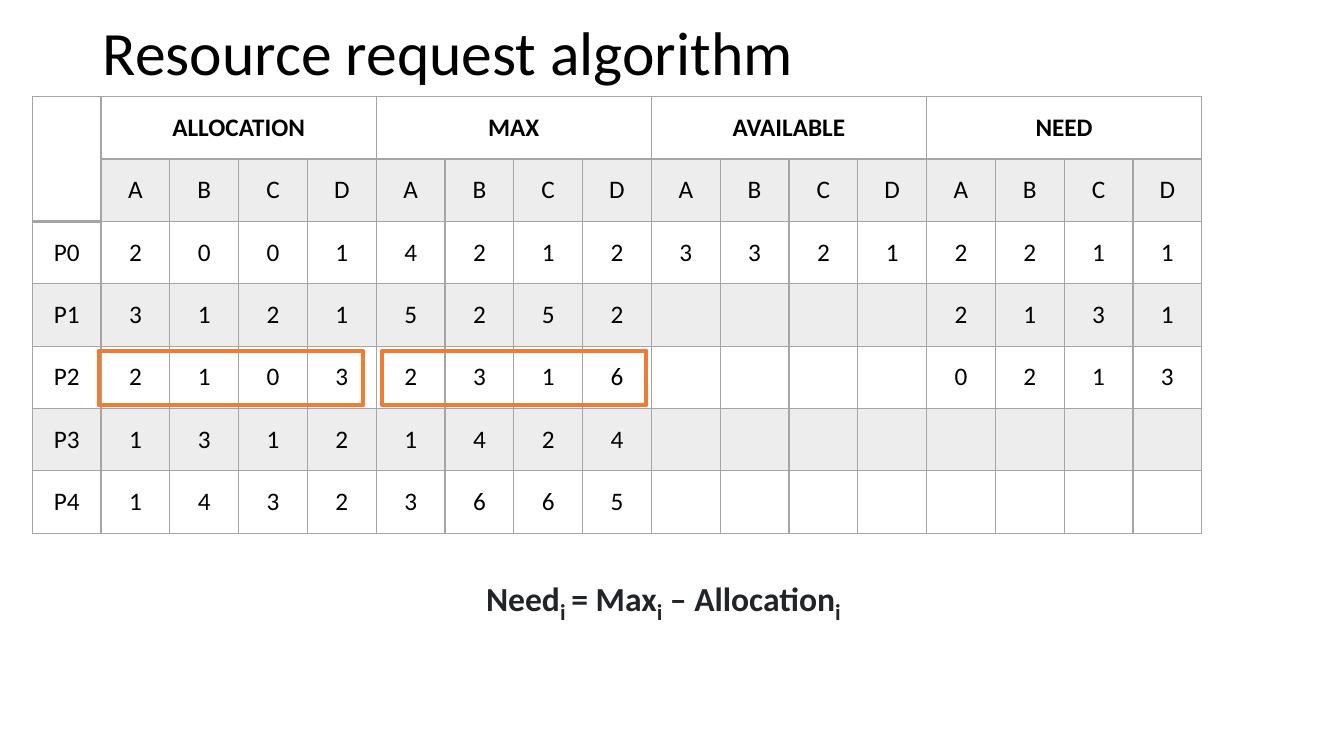
"""Builds the resource request algorithm slide with its allocation table."""
from lxml import etree
from pptx import Presentation
from pptx.dml.color import RGBColor
from pptx.enum.shapes import MSO_SHAPE
from pptx.enum.text import MSO_ANCHOR, PP_ALIGN
from pptx.oxml.ns import qn
from pptx.util import Inches, Pt

RECTANGLE = MSO_SHAPE.RECTANGLE
MIDDLE = MSO_ANCHOR.MIDDLE
TOP = MSO_ANCHOR.TOP
CENTER = PP_ALIGN.CENTER
LEFT = PP_ALIGN.LEFT

COLORS = {
    "text": "000000",
    "formula": "212529",
    "grid": "A5A5A5",
    "band": "EDEDED",
    "highlight": "ED7D31",
}
GROUPS = ["ALLOCATION", "MAX", "AVAILABLE", "NEED"]
RESOURCES = "ABCD"
PROCESSES = {
    "P0": ["2001", "4212", "3321", "2211"],
    "P1": ["3121", "5252", "", "2131"],
    "P2": ["2103", "2316", "", "0213"],
    "P3": ["1312", "1424", "", ""],
    "P4": ["1432", "3665", "", ""],
}
FORMULA = [
    ("Need", 24, 0), ("i", 28, -25), (" ", 32, -25),
    ("= Max", 24, 0), ("i", 28, -25),
    (" – Allocation", 24, 0), ("i", 28, -25),
]


class SlideBuilder:
    """Holds the style and the slide being filled."""

    def __init__(self, slide, font="Calibri"):
        self.slide = slide
        self.font = font

    def color(self, name):
        return RGBColor.from_string(COLORS[name])

    def style(self, font, size, color, bold=False):
        font.name = self.font
        font.size = Pt(size)
        font.bold = bold
        font.color.rgb = self.color(color)

    def text(self, box, parts, color, bold=False, align=LEFT, anchor=TOP, spacing=1.0):
        frame = self.slide.shapes.add_textbox(*map(Inches, box)).text_frame
        frame.word_wrap = True
        frame.vertical_anchor = anchor
        paragraph = frame.paragraphs[0]
        paragraph.alignment = align
        paragraph.line_spacing = spacing
        for words, size, baseline in parts:
            run = paragraph.add_run()
            run.text = words
            self.style(run.font, size, color, bold)
            if baseline:
                run.font._element.set("baseline", str(baseline * 1000))

    def border(self, cell, side, points):
        properties = cell._tc.get_or_add_tcPr()
        line = etree.SubElement(properties, qn(f"a:ln{side}"), w=str(Pt(points)))
        fill = etree.SubElement(line, qn("a:solidFill"))
        etree.SubElement(fill, qn("a:srgbClr"), val=COLORS["grid"])

    def cell(self, cell, words, bold, banded, heavy_bottom):
        cell.vertical_anchor = MIDDLE
        for side in "LRTB":
            self.border(cell, side, 2 if side == "B" and heavy_bottom else 1)
        if banded:
            cell.fill.solid()
            cell.fill.fore_color.rgb = self.color("band")
        else:
            cell.fill.background()
        cell.text = words
        paragraph = cell.text_frame.paragraphs[0]
        paragraph.alignment = CENTER
        self.style(paragraph.font, 18, "text", bold)

    def table(self, box, rows):
        frame = self.slide.shapes.add_table(len(rows), len(rows[0]), *map(Inches, box))
        table = frame.table
        for column in table.columns:
            column.width = Inches(box[2] / len(rows[0]))
        for row in table.rows:
            row.height = Inches(box[3] / len(rows))
        for r, values in enumerate(rows):
            for c, words in enumerate(values):
                corner = c == 0 and r < 2
                self.cell(table.cell(r, c), words, bold=r == 0,
                          banded=r % 2 == 1 and not corner,
                          heavy_bottom=r == 0 or corner)
        table.cell(0, 0).merge(table.cell(1, 0))
        width = len(RESOURCES)
        for first in range(1, len(rows[0]), width):
            table.cell(0, first).merge(table.cell(0, first + width - 1))

    def highlight(self, box):
        outline = self.slide.shapes.add_shape(RECTANGLE, *map(Inches, box))
        outline.shadow.inherit = False
        outline.fill.background()
        outline.line.color.rgb = self.color("highlight")
        outline.line.width = Pt(3)


def table_rows():
    groups = [""]
    for group in GROUPS:
        groups += [group] + [""] * (len(RESOURCES) - 1)
    rows = [groups, [""] + list(RESOURCES) * len(GROUPS)]
    for process, amounts in PROCESSES.items():
        digits = "".join(amount.ljust(len(RESOURCES)) for amount in amounts)
        rows.append([process] + [digit.strip() for digit in digits])
    return rows


def main():
    presentation = Presentation()
    presentation.slide_width = Inches(13.33)
    presentation.slide_height = Inches(7.5)
    builder = SlideBuilder(presentation.slides.add_slide(presentation.slide_layouts[6]))
    builder.text((0.92, 0.15, 11.5, 0.81), [("Resource request algorithm", 44, 0)],
                 "text", anchor=MIDDLE, spacing=0.9)
    builder.table((0.32, 0.96, 11.6, 4.33), table_rows())
    builder.text((0.35, 5.57, 12.46, 0.5), FORMULA, "formula", bold=True, align=CENTER)
    for left in (3.79, 0.98):
        builder.highlight((left, 3.48, 2.62, 0.54))
    presentation.save("out.pptx")


if __name__ == "__main__":
    main()
